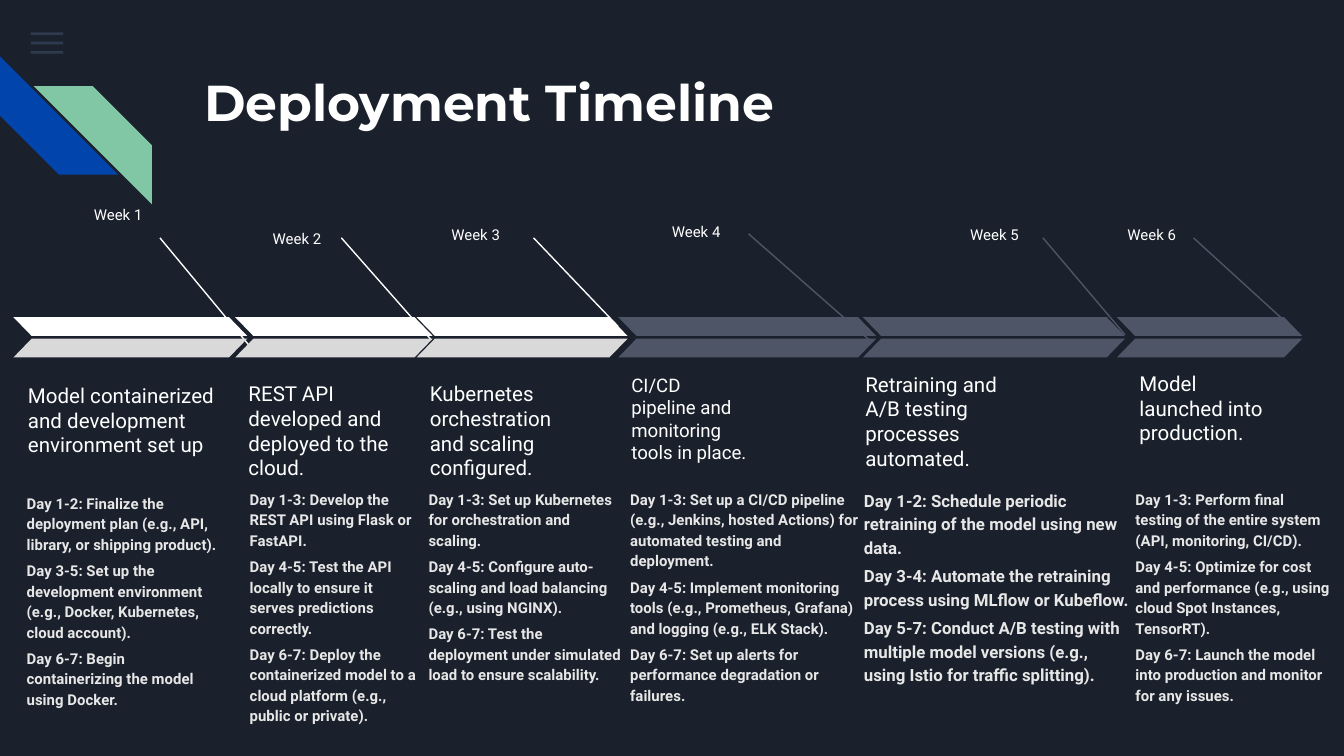
from dataclasses import dataclass

from lxml.etree import SubElement
from pptx import Presentation
from pptx.dml.color import RGBColor
from pptx.enum.shapes import MSO_CONNECTOR as Connector, MSO_SHAPE as Preset
from pptx.enum.text import MSO_ANCHOR as Anchor, MSO_AUTO_SIZE as AutoSize, PP_ALIGN as Align
from pptx.oxml.ns import qn
from pptx.util import Inches, Pt


@dataclass(frozen=True)
class Theme:
    background: str = "1B212C"
    white: str = "FFFFFF"
    body: str = "E7E7E7"
    shade: str = "D9D9D9"
    slate: str = "4E5567"
    menu: str = "55688B"
    blue: str = "0145AC"
    green: str = "82C7A5"
    heading_font: str = "Montserrat"
    text_font: str = "Roboto"
    title_size: int = 27
    head_size: int = 11
    compact_head_size: int = 10
    task_size: int = 8
    large_task_size: int = 9
    week_size: int = 8


THEME = Theme()
SLIDE_WIDTH = Inches(10)
SLIDE_HEIGHT = SLIDE_WIDTH * 9 // 16
BAND_TOP, BAND_STEP, BAND_HEIGHT = 2.36, 0.16, 0.14


@dataclass(frozen=True)
class Phase:
    week_box: tuple
    head_box: tuple
    task_box: tuple
    band: tuple
    pointer: tuple
    head: str
    tasks: tuple
    done: bool = False
    head_size: int = THEME.head_size
    task_size: int = THEME.task_size
    week_spacing: float = 1.0


PHASES = [
    Phase((0.6, 1.41, 0.86, 0.23), (0.11, 2.86, 1.61, 0.64), (0.1, 3.56, 1.65, 1.18),
          (0.1, 1.74), (1.19, 1.77, 1.87, 2.59),
          "Model containerized and development environment set up",
          ("Day 1-2: Finalize the deployment plan (e.g., API, library, or shipping product).",
           "Day 3-5: Set up the development environment (e.g., Docker, Kubernetes, cloud account).",
           "Day 6-7: Begin containerizing the model using Docker."),
          done=True, week_spacing=1.15),
    Phase((1.93, 1.61, 0.79, 0.23), (1.75, 2.88, 1.32, 0.79), (1.76, 3.53, 1.47, 0.73),
          (1.75, 1.47), (2.54, 1.77, 3.21, 2.53),
          "REST API developed and deployed to the cloud.",
          ("Day 1-3: Develop the REST API using Flask or FastAPI.",
           "Day 4-5: Test the API locally to ensure it serves predictions correctly.",
           "Day 6-7: Deploy the containerized model to a cloud platform (e.g., "
           "public or private)."),
          done=True),
    Phase((3.26, 1.58, 0.86, 0.23), (3.1, 2.88, 1.24, 0.79), (3.09, 3.53, 1.65, 0.73),
          (3.1, 1.57), (3.97, 1.77, 4.6, 2.43),
          "Kubernetes orchestration and scaling configured.",
          ("Day 1-3: Set up Kubernetes for orchestration and scaling.",
           "Day 4-5: Configure auto-scaling and load balancing (e.g., using NGINX).",
           "Day 6-7: Test the deployment under simulated load to ensure scalability."),
          done=True),
    Phase((4.9, 1.59, 0.91, 0.14), (4.6, 2.91, 1.07, 0.64), (4.59, 3.53, 1.95, 0.73),
          (4.6, 1.92), (5.57, 1.74, 6.48, 2.54),
          "CI/CD pipeline and monitoring tools in place.",
          ("Day 1-3: Set up a CI/CD pipeline (e.g., Jenkins, hosted Actions) for "
           "automated testing and deployment.",
           "Day 4-5: Implement monitoring tools (e.g., Prometheus, Grafana) and logging "
           "(e.g., ELK Stack).",
           "Day 6-7: Set up alerts for performance degradation or failures."),
          head_size=THEME.compact_head_size),
    Phase((7.12, 1.58, 0.7, 0.23), (6.34, 2.71, 1.19, 0.89), (6.33, 3.53, 2.17, 0.73),
          (6.42, 1.95), (7.76, 1.77, 8.37, 2.49),
          "Retraining and A/B testing processes automated.",
          ("Day 1-2: Schedule periodic retraining of the model using new data.",
           "Day 3-4: Automate the retraining process using MLflow or Kubeflow.",
           "Day 5-7: Conduct A/B testing with multiple model versions (e.g., using Istio "
           "for traffic splitting)."),
          task_size=THEME.large_task_size),
    Phase((8.29, 1.58, 0.67, 0.23), (8.38, 2.77, 1.24, 0.64), (8.35, 3.53, 1.65, 0.73),
          (8.31, 1.38), (8.88, 1.77, 9.67, 2.49),
          "Model launched into production.",
          ("Day 1-3: Perform final testing of the entire system (API, monitoring, CI/CD).",
           "Day 4-5: Optimize for cost and performance (e.g., using cloud Spot Instances, "
           "TensorRT).",
           "Day 6-7: Launch the model into production and monitor for any issues.")),
]


def apply(target, formats):
    for name, value in formats.items():
        setattr(target, name, value)


def write(frame, lines, size, color, font=THEME.text_font, bold=False,
          anchor=Anchor.TOP, spacing=1.0, gap=0):
    margins = {f"margin_{side}": Inches(0.1) for side in ("left", "right", "top", "bottom")}
    apply(frame, {"word_wrap": True, "auto_size": AutoSize.NONE,
                  "vertical_anchor": anchor, **margins})
    for index, line in enumerate(lines):
        paragraph = frame.add_paragraph() if index else frame.paragraphs[0]
        apply(paragraph, {"text": line, "alignment": Align.LEFT, "line_spacing": spacing,
                          "space_before": Pt(gap if index else 0)})
        font_formats = {"size": Pt(size), "name": font, "bold": bold}
        for run in paragraph.runs:
            apply(run.font, font_formats)
            run.font.color.rgb = RGBColor.from_string(color)


def add_text(slide, box, lines, size, color, **formats):
    shape = slide.shapes.add_textbox(*map(Inches, box))
    write(shape.text_frame, lines, size, color, **formats)


def add_block(slide, preset, box, color, adjustment=None, flip=False, rotation=0, alpha=None):
    shape = slide.shapes.add_shape(preset, *map(Inches, box))
    shape.shadow.inherit = False
    shape.fill.solid()
    shape.fill.fore_color.rgb = RGBColor.from_string(color)
    shape.line.fill.background()
    shape.rotation = rotation
    if adjustment is not None:
        shape.adjustments[0] = adjustment
    if flip:
        shape._element.spPr.find(qn("a:xfrm")).set("flipH", "1")
    if alpha is not None:
        tint = shape._element.spPr.find(qn("a:solidFill"))[0]
        SubElement(tint, qn("a:alpha")).set("val", str(alpha * 1000))


def add_pointer(slide, ends, color):
    line = slide.shapes.add_connector(Connector.STRAIGHT, *map(Inches, ends))
    line.line.color.rgb = RGBColor.from_string(color)
    line.line.width = Pt(0.75)
    SubElement(line._element.spPr, qn("a:effectLst"))


def add_decoration(slide):
    for row in range(3):
        add_block(slide, Preset.RECTANGLE, (0.23, 0.24 + 0.07 * row, 0.24, 0.02),
                  THEME.menu, alpha=36)
    add_block(slide, Preset.DIAGONAL_STRIPE, (0, 0.42, 0.88, 0.88), THEME.blue, 0.5, rotation=270)
    add_block(slide, Preset.DIAGONAL_STRIPE, (0.25, 0.64, 0.88, 0.88), THEME.green, 0.5, flip=True)


def add_title(slide, text):
    title = slide.shapes.title
    box = {"left": 1.42, "top": 0.43, "width": 7.7, "height": 1}
    apply(title, {name: Inches(value) for name, value in box.items()})
    write(title.text_frame, [text], THEME.title_size, THEME.white,
          font=THEME.heading_font, bold=True)


def add_phase_text(slide, number, phase):
    add_text(slide, phase.week_box, [f"Week {number}"], THEME.week_size, THEME.white,
             spacing=phase.week_spacing)
    add_text(slide, phase.head_box, [phase.head], phase.head_size, THEME.white,
             anchor=Anchor.BOTTOM)
    add_text(slide, phase.task_box, phase.tasks, phase.task_size, THEME.body,
             bold=True, spacing=1.15, gap=3)


def add_phase_arrow(slide, phase):
    upper, lower = (THEME.white, THEME.shade) if phase.done else (THEME.slate, THEME.slate)
    left, width = phase.band
    add_pointer(slide, phase.pointer, upper)
    for row, color in enumerate((upper, lower)):
        box = (left, BAND_TOP + BAND_STEP * row, width, BAND_HEIGHT)
        add_block(slide, Preset.PARALLELOGRAM, box, color, 0.97, flip=row == 0)


def main():
    presentation = Presentation()
    apply(presentation, {"slide_width": SLIDE_WIDTH, "slide_height": SLIDE_HEIGHT})
    slide = presentation.slides.add_slide(presentation.slide_layouts[5])
    slide.background.fill.solid()
    slide.background.fill.fore_color.rgb = RGBColor.from_string(THEME.background)
    add_decoration(slide)
    add_title(slide, "Deployment Timeline")
    for number, phase in enumerate(PHASES, 1):
        add_phase_text(slide, number, phase)
    for phase in PHASES:
        add_phase_arrow(slide, phase)
    presentation.save("out.pptx")


if __name__ == "__main__":
    main()
